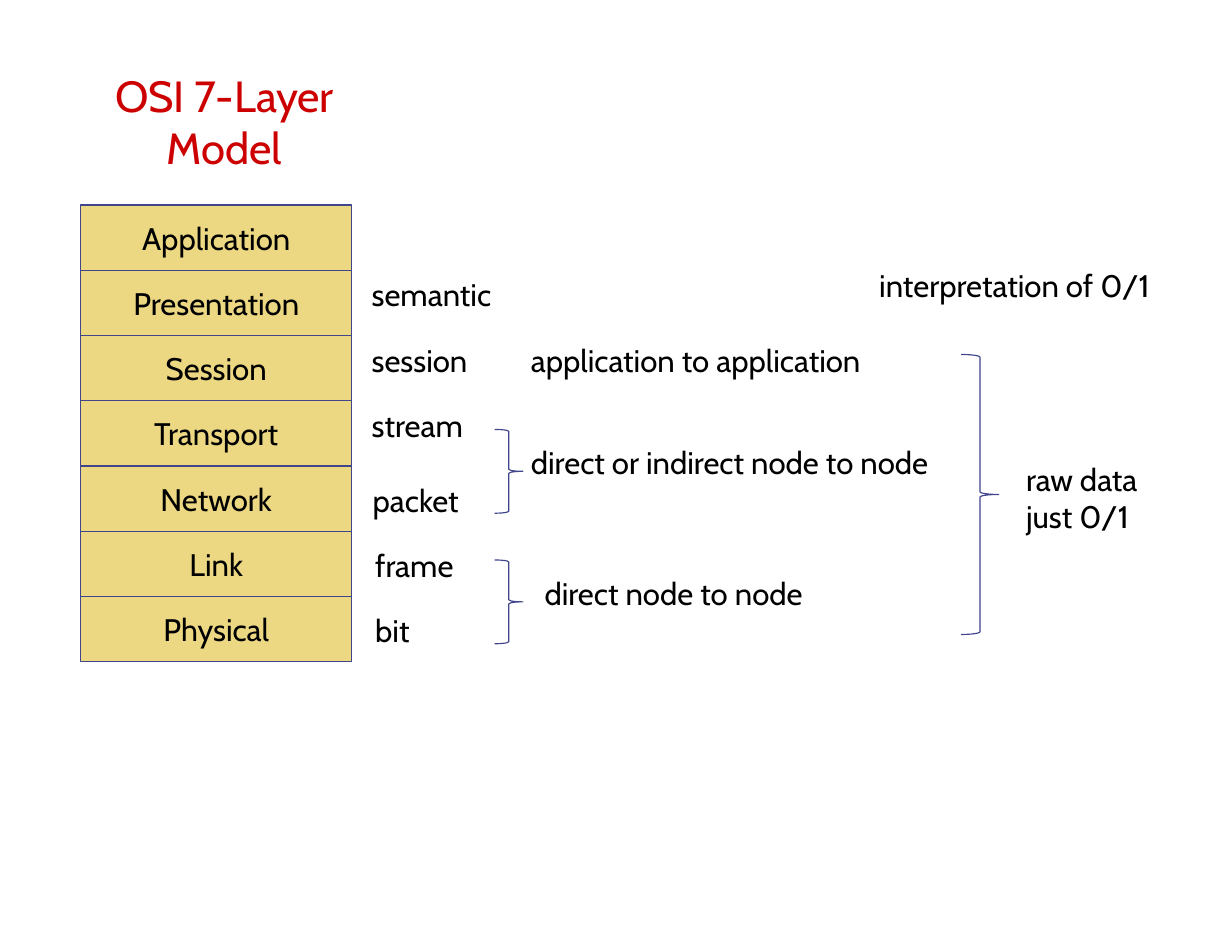
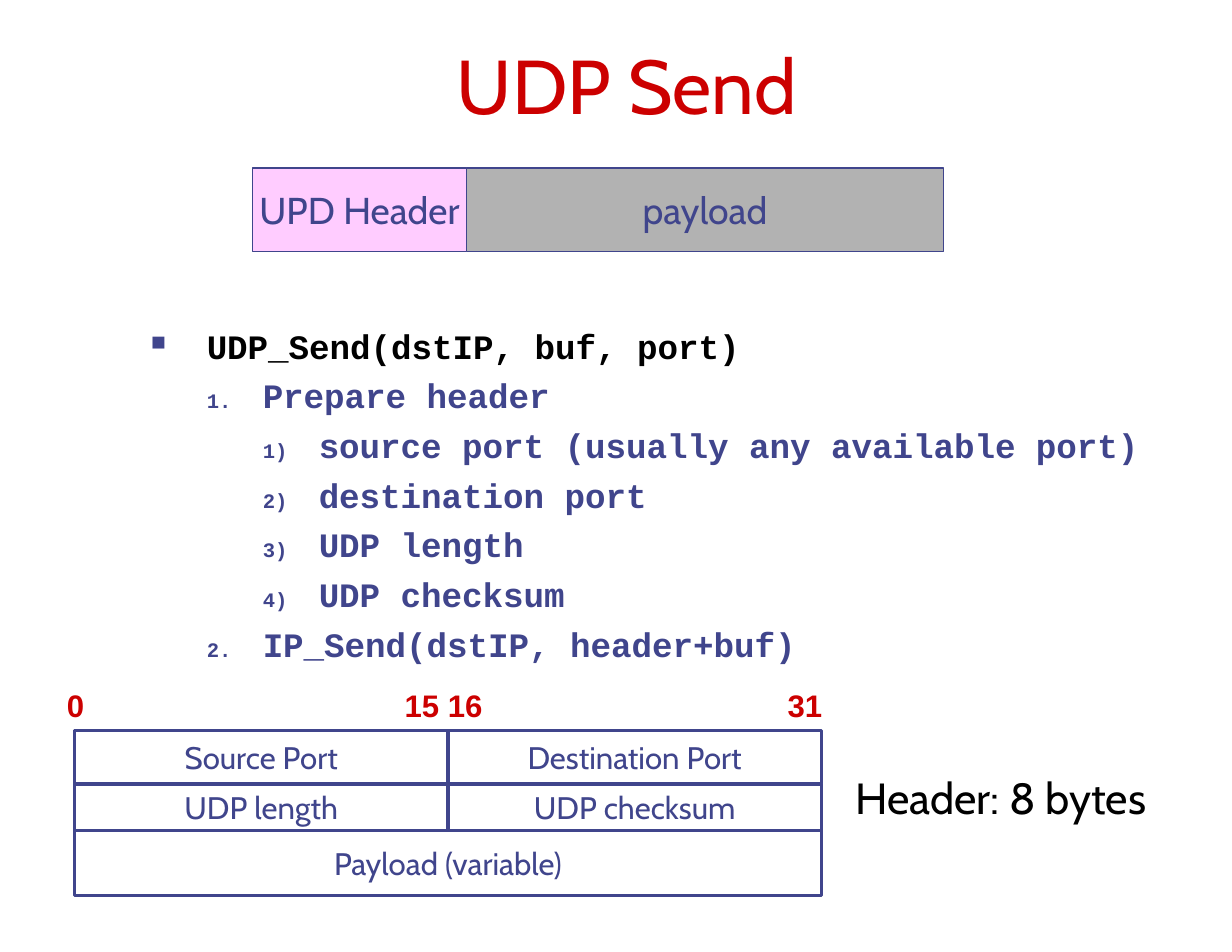
from dataclasses import dataclass

from lxml.etree import SubElement
from pptx import Presentation
from pptx.dml.color import RGBColor
from pptx.enum.shapes import MSO_SHAPE as Shape
from pptx.enum.text import MSO_ANCHOR as Anchor, PP_ALIGN as Align
from pptx.oxml.ns import qn
from pptx.util import Cm, Pt


@dataclass(frozen=True)
class Theme:
    red: str = "CC0000"
    ink: str = "40458C"
    black: str = "000000"
    sand: str = "ECD882"
    pink: str = "FFCCFF"
    gray: str = "B2B2B2"
    sans: str = "Cabin"
    code: str = "Courier New"
    digits: str = "Arial"
    label_size: float = 20
    code_size: float = 22
    packet_size: float = 24
    heading_size: float = 28
    title_size: float = 49
    thin: float = 0.75
    thick: float = 2


theme = Theme()


def write(box, lines, size=theme.label_size, color=theme.black, font=theme.sans,
          bold=False, align=Align.LEFT, anchor=Anchor.TOP, wrap=True):
    """Fill a text box or shape with one paragraph per line."""
    frame = box.text_frame
    frame.word_wrap = wrap
    frame.vertical_anchor = anchor
    for number, line in enumerate(lines):
        para = frame.add_paragraph() if number else frame.paragraphs[0]
        para.alignment = align
        span = para.add_run()
        span.text = line
        span.font.name = font
        span.font.size = Pt(size)
        span.font.bold = bold
        span.font.color.rgb = RGBColor.from_string(color)


def add_outlined(page, kind, left, top, width, height, fill=None, line=theme.thin):
    """Add a flat shape with the ink outline, filled or hollow."""
    shape = page.shapes.add_shape(kind, Cm(left), Cm(top), Cm(width), Cm(height))
    shape.shadow.inherit = False
    if fill:
        shape.fill.solid()
        shape.fill.fore_color.rgb = RGBColor.from_string(fill)
    else:
        shape.fill.background()
    shape.line.color.rgb = RGBColor.from_string(theme.ink)
    shape.line.width = Pt(line)
    return shape


deck = Presentation()
deck.slide_width, deck.slide_height = Cm(27.94), Cm(21.59)
blank = deck.slide_layouts[6]
centred = dict(align=Align.CENTER, anchor=Anchor.MIDDLE, wrap=False)

# Slide 1: OSI layers
page = deck.slides.add_slide(blank)
title = page.shapes.add_textbox(Cm(1.9), Cm(1.47), Cm(6.38), Cm(2.54))
write(title, ["OSI 7-Layer Model"], theme.heading_size, theme.red,
      align=Align.CENTER, anchor=Anchor.MIDDLE)

# Layer stack
layers = ["Application", "Presentation", "Session", "Transport",
          "Network", "Link", "Physical"]
layer_height = 1.48
for row, layer in enumerate(layers):
    box = add_outlined(page, Shape.RECTANGLE, 1.83, 4.65 + row * layer_height,
                       6.15, layer_height, theme.sand)
    write(box, [layer], **centred)

# Data units and their scope
labels = [
    (8.18, 6.12, 3.5, ["semantic"]),
    (8.18, 7.62, 3.5, ["session"]),
    (8.18, 9.1, 3.5, ["stream"]),
    (8.2, 10.8, 3.5, ["packet"]),
    (8.26, 12.27, 3.5, ["frame"]),
    (8.26, 13.74, 3.5, ["bit"]),
    (11.79, 7.62, 8.89, ["application to application"]),
    (11.79, 9.93, 10.64, ["direct or indirect node to node"]),
    (12.1, 12.9, 7.04, ["direct node to node"]),
    (19.69, 5.92, 6.99, ["interpretation of 0/1"]),
    (23.02, 10.31, 3.4, ["raw data", "just 0/1"]),
]
for left, top, width, lines in labels:
    box = page.shapes.add_textbox(Cm(left), Cm(top), Cm(width), Cm(1.1 * len(lines)))
    write(box, lines)

# Braces
for left, top, width, height in [(11.22, 9.74, 0.64, 1.9), (11.22, 12.7, 0.64, 1.9),
                                 (21.8, 8.04, 0.85, 6.35)]:
    brace = add_outlined(page, Shape.RIGHT_BRACE, left, top, width, height)
    brace.adjustments[0] = 0.07

# Slide 2: UDP send
page = deck.slides.add_slide(blank)
title = page.shapes.add_textbox(Cm(2.34), Cm(0.84), Cm(23.75), Cm(2.24))
write(title, ["UDP Send"], theme.title_size, theme.red,
      align=Align.CENTER, anchor=Anchor.BOTTOM)

# Packet bar
for text, left, width, fill in [("payload", 10.59, 10.8, theme.gray),
                                ("UPD Header", 5.72, 4.87, theme.pink)]:
    box = add_outlined(page, Shape.RECTANGLE, left, 3.81, width, 1.9, fill)
    write(box, [text], theme.packet_size, theme.ink, **centred)

# Numbered steps
steps = [
    (0, "UDP_Send(dstIP, buf, port)"),
    (1, "Prepare header"),
    (2, "source port (usually any available port)"),
    (2, "destination port"),
    (2, "UDP length"),
    (2, "UDP checksum"),
    (1, "IP_Send(dstIP, header+buf)"),
]
bullets = [("a:buChar", "char", "■"),
           ("a:buAutoNum", "type", "arabicPeriod"),
           ("a:buAutoNum", "type", "arabicParenR")]
box = page.shapes.add_textbox(Cm(1.9), Cm(7.25), Cm(24.33), Cm(7.76))
write(box, [text for level, text in steps], theme.code_size, theme.ink,
      theme.code, bold=True)
paras = box.text_frame.paragraphs
paras[0].runs[0].font.color.rgb = RGBColor.from_string(theme.black)
for number, (para, (level, text)) in enumerate(zip(paras, steps)):
    para.level = level
    para.space_before = Pt(5.5 if number else 0)
    props = para._p.get_or_add_pPr()
    props.set("marL", str(Cm(2.54 + 1.27 * level)))
    props.set("indent", str(Cm(-1.27)))
    SubElement(SubElement(props, qn("a:buClr")), qn("a:srgbClr")).set("val", theme.ink)
    SubElement(props, qn("a:buSzPct")).set("val", "60000")
    tag, attribute, value = bullets[level]
    SubElement(props, qn(tag)).set(attribute, value)

# Header layout
grid_left, column_width = 1.69, 8.47
top = 16.56
for height, fields in [(1.22, ["Source Port", "Destination Port"]),
                       (1.06, ["UDP length", "UDP checksum"]),
                       (1.48, ["Payload (variable)"])]:
    width = 2 * column_width / len(fields)
    for column, field in enumerate(fields):
        box = add_outlined(page, Shape.RECTANGLE, grid_left + column * width, top,
                           width, height, line=theme.thick)
        write(box, [field], color=theme.ink, **centred)
    top += height

# Bit positions
for text, left, width in [("0", 1.27, 0.86), ("15 16", 8.89, 2.34), ("31", 17.58, 1.35)]:
    box = page.shapes.add_textbox(Cm(left), Cm(15.44), Cm(width), Cm(1.12))
    write(box, [text], color=theme.red, font=theme.digits, bold=True,
          align=Align.CENTER, wrap=False)

# Header size
box = page.shapes.add_textbox(Cm(19.15), Cm(17.35), Cm(7.75), Cm(1.45))
write(box, ["Header: 8 bytes"], theme.heading_size)

deck.save("out.pptx")
